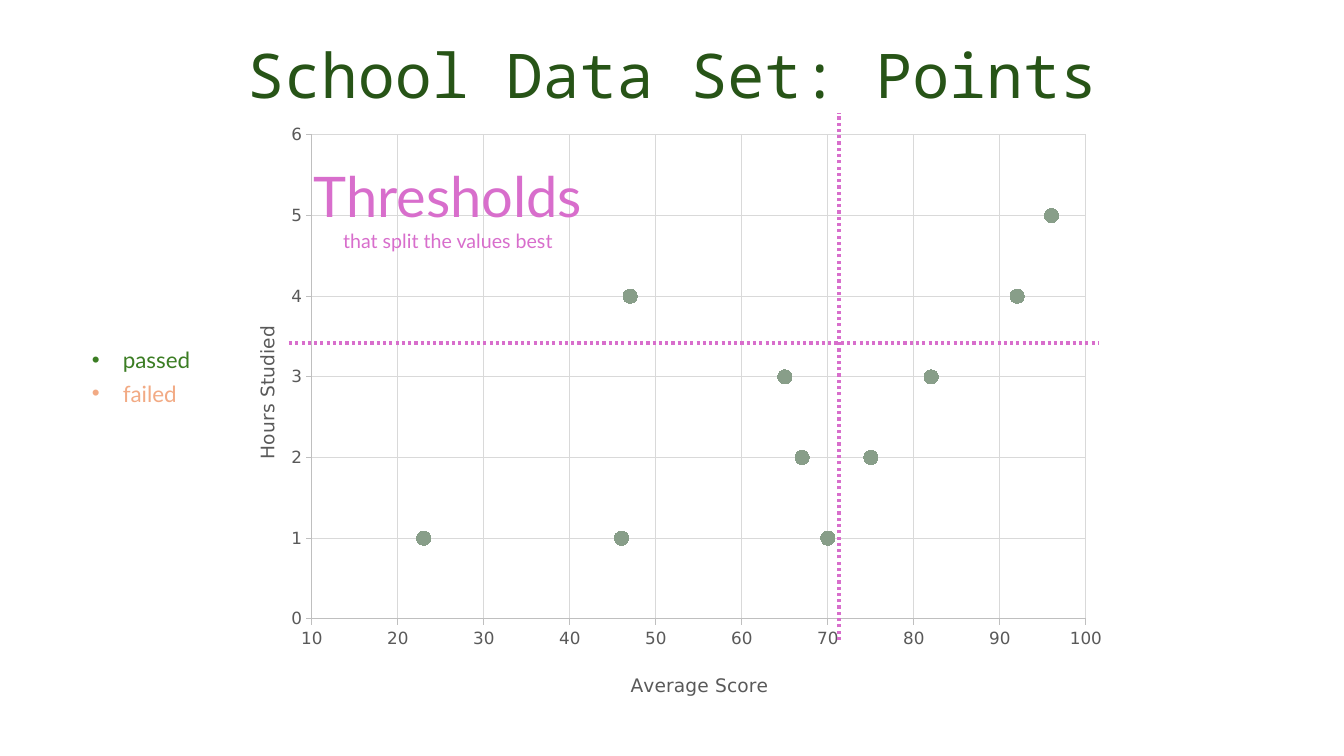
from lxml import etree
from pptx import Presentation
from pptx.chart.data import XyChartData
from pptx.dml.color import RGBColor
from pptx.enum.chart import XL_CHART_TYPE, XL_MARKER_STYLE, XL_TICK_MARK
from pptx.enum.dml import MSO_LINE
from pptx.enum.shapes import MSO_CONNECTOR
from pptx.enum.text import PP_ALIGN
from pptx.oxml import parse_xml
from pptx.oxml.ns import nsdecls, qn
from pptx.util import Pt

SCATTER = XL_CHART_TYPE.XY_SCATTER
CIRCLE = XL_MARKER_STYLE.CIRCLE
TICK_OUTSIDE, TICK_NONE = XL_TICK_MARK.OUTSIDE, XL_TICK_MARK.NONE
DOTTED = MSO_LINE.ROUND_DOT
STRAIGHT = MSO_CONNECTOR.STRAIGHT
LEFT, CENTER = PP_ALIGN.LEFT, PP_ALIGN.CENTER
EMU_PER_PX = 914400 / 100.8

STUDENTS = [(65, 3), (70, 1), (82, 3), (67, 2), (92, 4),
            (23, 1), (96, 5), (47, 4), (75, 2), (46, 1)]
OUTCOMES = [("passed", "3B7D23"), ("failed", "F2AA84")]


def px(length):
    return round(length * EMU_PER_PX)


def color(value):
    return RGBColor.from_string(value)


def write(paragraph, text, size, ink, font, align=LEFT, spacing=None, bullet_indent=0):
    paragraph.alignment = align
    if spacing:
        paragraph.line_spacing = spacing
    run = paragraph.add_run()
    run.text = text
    run.font.size = Pt(size)
    run.font.name = font
    run.font.bold = False
    run.font.color.rgb = color(ink)
    if bullet_indent:
        properties = paragraph._p.get_or_add_pPr()
        properties.set("marL", str(px(bullet_indent)))
        properties.set("indent", str(-px(bullet_indent)))
        etree.SubElement(properties, qn("a:buFont")).set("typeface", "Arial")
        etree.SubElement(properties, qn("a:buChar")).set("char", "•")


def manual_layout(**parts):
    values = "".join(f'<c:{name} val="{value}"/>' for name, value in parts.items())
    return parse_xml(f'<c:layout {nsdecls("c")}><c:manualLayout>{values}'
                     '</c:manualLayout></c:layout>')


def drop_layout(parent):
    for layout in parent.findall(qn("c:layout")):
        parent.remove(layout)


class PointsSlide:
    body_font = "Lato"
    title_font = "Noto Sans Mono"
    chart_font = "DejaVu Sans"
    accent = "D86ECC"
    chart_ink = "595959"
    grid = "D9D9D9"
    axis_line = "BFBFBF"
    point = "889E89"

    def __init__(self, slide):
        self.slide = slide

    def text(self, left, top, width, height, paragraphs):
        frame = self.slide.shapes.add_textbox(
            px(left), px(top), px(width), px(height)).text_frame
        frame.word_wrap = True
        for index, style in enumerate(paragraphs):
            paragraph = frame.add_paragraph() if index else frame.paragraphs[0]
            write(paragraph, **style)

    def threshold(self, x1, y1, x2, y2):
        line = self.slide.shapes.add_connector(STRAIGHT, px(x1), px(y1), px(x2), px(y2))
        line.line.color.rgb = color(self.accent)
        line.line.width = Pt(2.25)
        line.line.dash_style = DOTTED
        etree.SubElement(line._element.spPr, qn("a:effectLst"))

    def axis(self, axis, title, low, high, step, title_x, title_y, rotation=0):
        axis.minimum_scale, axis.maximum_scale, axis.major_unit = low, high, step
        axis.major_tick_mark, axis.minor_tick_mark = TICK_OUTSIDE, TICK_NONE
        axis.has_major_gridlines = True
        for line, ink in ((axis.format.line, self.axis_line),
                          (axis.major_gridlines.format.line, self.grid)):
            line.color.rgb = color(ink)
            line.width = Pt(0.75)
        axis.tick_labels.font.size = Pt(12)
        axis.tick_labels.font.name = self.chart_font
        axis.tick_labels.font.color.rgb = color(self.chart_ink)
        frame = axis.axis_title.text_frame
        write(frame.paragraphs[0], title, 13.3, self.chart_ink, self.chart_font, CENTER)
        frame._txBody.bodyPr.set("rot", str(rotation * 60000))
        frame._txBody.bodyPr.set("vert", "horz")
        heading = axis.axis_title._element
        drop_layout(heading)
        heading.get_or_add_tx().addnext(
            manual_layout(xMode="edge", yMode="edge", x=title_x, y=title_y))

    def scatter(self, left, top, width, height, points):
        data = XyChartData()
        students = data.add_series("Series 1")
        for score, hours in points:
            students.add_data_point(score, hours)
        chart = self.slide.shapes.add_chart(
            SCATTER, px(left), px(top), px(width), px(height), data).chart
        chart.has_legend = False
        chart.has_title = False
        chart.font.size = Pt(10)
        chart.font.name = self.chart_font
        chart.font.color.rgb = color("000000")
        plot = chart.plots[0]
        plot.vary_by_categories = False
        series = plot.series[0]
        series.format.line.fill.background()
        series.marker.style = CIRCLE
        series.marker.size = 10
        series.marker.format.fill.solid()
        series.marker.format.fill.fore_color.rgb = color(self.point)
        series.marker.format.line.color.rgb = color(self.point)
        self.axis(chart.category_axis, "Average Score", 10, 100, 10, 0.45, 0.93)
        self.axis(chart.value_axis, "Hours Studied", 0, 6, 1, 0.03, 0.35, rotation=-90)
        area = chart._chartSpace.chart.plotArea
        drop_layout(area)
        area.insert(0, manual_layout(layoutTarget="inner", xMode="edge", yMode="edge",
                                     x=88 / width, y=22 / height,
                                     w=774 / width, h=484 / height))


def main():
    deck = Presentation()
    deck.slide_width, deck.slide_height = px(1344), px(756)
    page = PointsSlide(deck.slides.add_slide(deck.slide_layouts[6]))
    page.text(93, 40, 1159, 146, [
        dict(text="School Data Set: Points", size=44, ink="275417",
             font=page.title_font, align=CENTER, spacing=0.9)])
    page.scatter(224, 113, 896, 598, STUDENTS)
    for row, (outcome, ink) in enumerate(OUTCOMES):
        page.text(82, 341 + 34 * row, 142, 37, [
            dict(text=outcome, size=16, ink=ink, font=page.body_font, bullet_indent=31)])
    page.threshold(289, 343, 1098, 343)
    page.threshold(839, 640, 839, 113)
    page.text(289, 157, 318, 102, [
        dict(text=words, size=size, ink=page.accent, font=page.body_font, align=CENTER)
        for words, size in (("Thresholds", 40), ("that split the values best", 14))])
    deck.save("out.pptx")


if __name__ == "__main__":
    main()
